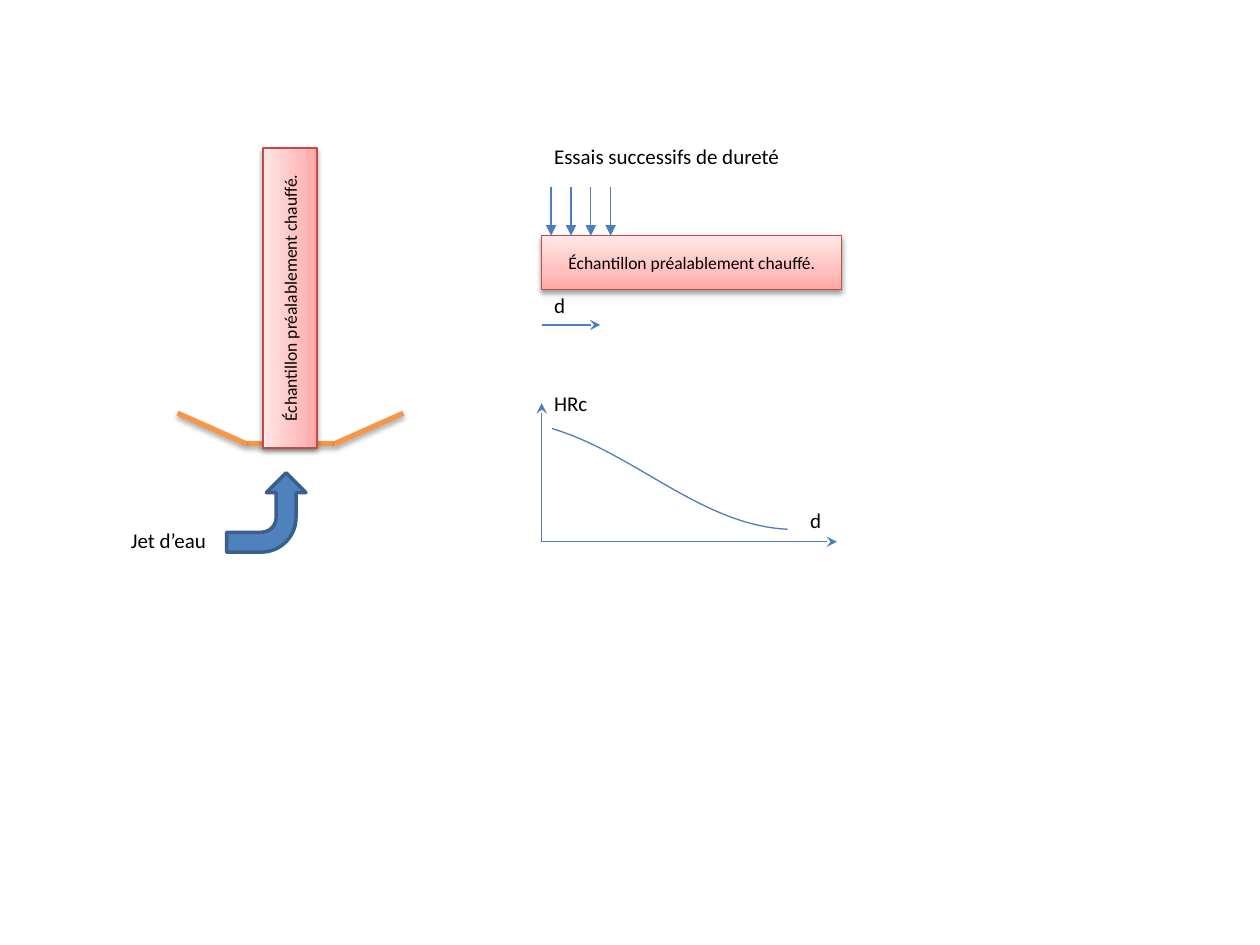
from lxml import etree
from pptx import Presentation
from pptx import util as u
from pptx.dml.color import RGBColor
from pptx.enum import shapes, text
from pptx.oxml import ns

BLUE_FILL = RGBColor(0x4F, 0x81, 0xBD)
BLUE_EDGE = RGBColor(0x3A, 0x5F, 0x8C)
BLUE_LINE = RGBColor(0x4B, 0x7E, 0xBC)
ORANGE = RGBColor(0xF7, 0x96, 0x46)
RED = RGBColor(0xBF, 0x4C, 0x48)
BLACK = RGBColor(0, 0, 0)
HEAT = [(0, RGBColor(0xFF, 0xA6, 0xA5)), (35, RGBColor(0xFF, 0xC0, 0xBF)),
        (100, RGBColor(0xFF, 0xE7, 0xE7))]

prs = Presentation()
prs.slide_width, prs.slide_height = u.Cm(25.4), u.Cm(19.05)
slide = prs.slides.add_slide(prs.slide_layouts[6])


def add_line(x1, y1, x2, y2, color, width, head=None):
    line = slide.shapes.add_connector(
        shapes.MSO_CONNECTOR.STRAIGHT, u.Cm(x1), u.Cm(y1), u.Cm(x2), u.Cm(y2))
    line.line.color.rgb = color
    line.line.width = u.Pt(width)
    if head:
        etree.SubElement(line.line._get_or_add_ln(), ns.qn("a:tailEnd"), type=head)
    return etree.SubElement(line._element.spPr, ns.qn("a:effectLst"))


def add_shadow(effects, distance, opacity):
    shadow = etree.SubElement(
        effects, ns.qn("a:outerShdw"), blurRad=str(u.Pt(3.1)),
        dist=str(u.Pt(distance)), dir="5400000", rotWithShape="0")
    black = etree.SubElement(shadow, ns.qn("a:srgbClr"), val=str(BLACK))
    etree.SubElement(black, ns.qn("a:alpha"), val=str(opacity * 1000))


# Basin around the foot of the upright sample
for start, end in [((6.76, 8.94), (4.95, 8.94)),
                   ((8.13, 8.33), (6.76, 8.94)),
                   ((3.58, 8.33), (4.95, 8.94))]:
    add_shadow(add_line(*start, *end, ORANGE, 3), 1.8, 35)

# Heated sample: upright in the water jet, then lying for the hardness tests
for left, top, rotation in [(2.82, 5.46, 270), (10.92, 4.75, 0)]:
    sample = slide.shapes.add_shape(
        shapes.MSO_SHAPE.RECTANGLE, u.Cm(left), u.Cm(top), u.Cm(6.05), u.Cm(1.09))
    sample.rotation = rotation
    sample.fill.gradient()
    sample.fill.gradient_angle = 90
    stops = sample._element.spPr.find(".//" + ns.qn("a:gsLst"))
    for stop in list(stops):
        stops.remove(stop)
    for position, color in HEAT:
        stop = etree.SubElement(stops, ns.qn("a:gs"), pos=str(position * 1000))
        etree.SubElement(stop, ns.qn("a:srgbClr"), val=str(color))
    sample.line.color.rgb = RED
    sample.line.width = u.Pt(0.75)
    sample.shadow.inherit = False
    add_shadow(sample._element.spPr.find(ns.qn("a:effectLst")), 1.6, 38)
    frame = sample.text_frame
    frame.vertical_anchor = text.MSO_ANCHOR.MIDDLE
    caption = frame.paragraphs[0]
    caption.text = "Échantillon préalablement chauffé."
    caption.alignment = text.PP_ALIGN.CENTER
    caption.font.name = "Calibri"
    caption.font.size = u.Pt(10)
    caption.font.color.rgb = BLACK

# Water jet
jet = slide.shapes.add_shape(
    shapes.MSO_SHAPE.BENT_ARROW, u.Cm(4.57), u.Cm(9.53), u.Cm(1.6), u.Cm(1.6))
jet.rotation = 90
jet._element.spPr.xfrm.set("flipH", "1")
jet.fill.solid()
jet.fill.fore_color.rgb = BLUE_FILL
jet.line.color.rgb = BLUE_EDGE
jet.line.width = u.Pt(2)
jet.shadow.inherit = False

# Successive hardness tests
for i in range(4):
    x = 11.11 + 0.4 * i
    add_line(x, 3.76, x, 4.75, BLUE_LINE, 0.75, "triangle")

# Distance arrow and the two axes of the hardness graph
for start, end in [((10.92, 6.55), (12.1, 6.55)),
                   ((10.92, 10.92), (10.92, 8.13)),
                   ((10.92, 10.92), (16.87, 10.92))]:
    add_line(*start, *end, BLUE_LINE, 0.75, "stealth")

# Hardness curve: its three later points become one Bézier segment
curve_points = [(u.Cm(x), u.Cm(y)) for x, y in
                [(11.13, 8.64), (12.8, 9.14), (14.15, 10.59), (15.88, 10.67)]]
builder = slide.shapes.build_freeform(*curve_points[0])
builder.add_line_segments(curve_points[1:], close=False)
curve = builder.convert_to_shape()
outline = curve._element.spPr.find(".//" + ns.qn("a:path"))
bezier = etree.SubElement(outline, ns.qn("a:cubicBezTo"))
for segment in outline.findall(ns.qn("a:lnTo")):
    bezier.append(segment[0])
    outline.remove(segment)
curve.fill.background()
curve.line.color.rgb = BLUE_LINE
curve.line.width = u.Pt(0.75)
curve.shadow.inherit = False

# Labels
for wording, left, top, width in [
        ("Jet d’eau", 2.39, 10.52, 2.59),
        ("Essais successifs de dureté", 10.92, 2.77, 6.35),
        ("d", 10.92, 5.77, 2.59),
        ("d", 16.08, 10.11, 2.59),
        ("HRc", 10.92, 7.75, 2.59)]:
    label = slide.shapes.add_textbox(u.Cm(left), u.Cm(top), u.Cm(width), u.Cm(0.77))
    label.text_frame.word_wrap = True
    label.text_frame.auto_size = text.MSO_AUTO_SIZE.SHAPE_TO_FIT_TEXT
    paragraph = label.text_frame.paragraphs[0]
    paragraph.text = wording
    paragraph.font.name = "Calibri"
    paragraph.font.size = u.Pt(12)
    paragraph.font.color.rgb = BLACK

prs.save("out.pptx")
